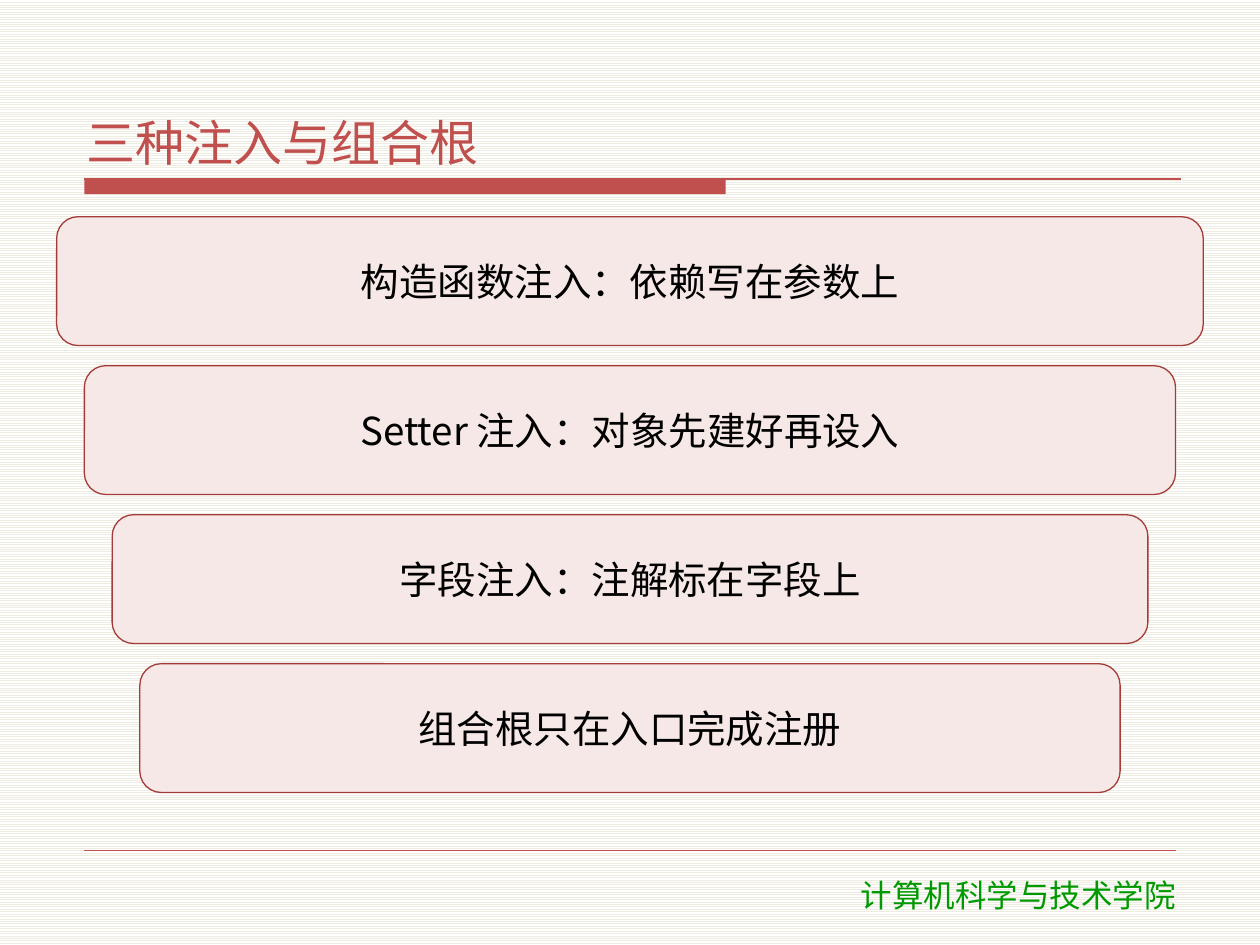
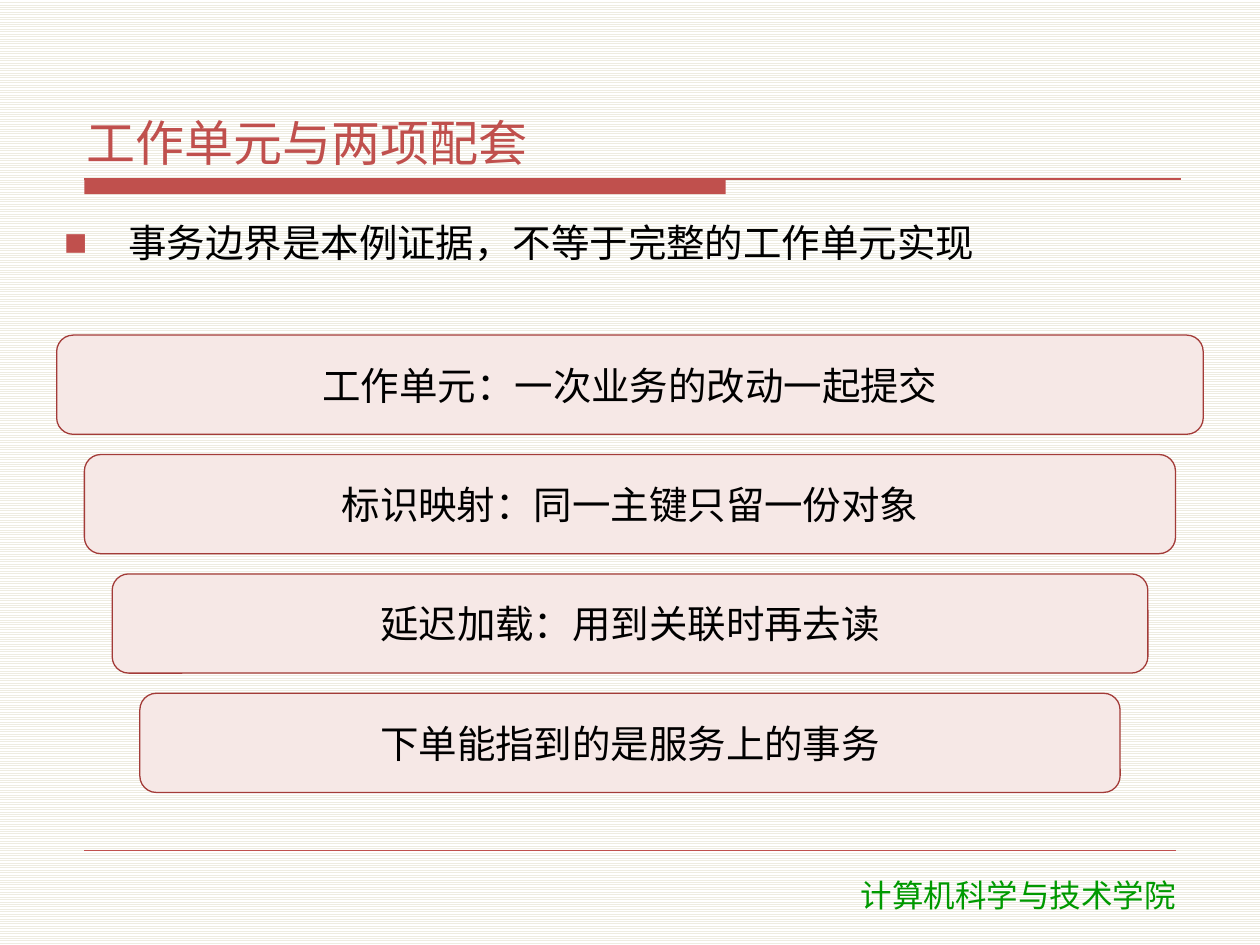
from lxml import etree
from pptx import Presentation
from pptx.dml.color import RGBColor
from pptx.enum.dml import MSO_PATTERN
from pptx.enum.shapes import MSO_CONNECTOR, MSO_SHAPE
from pptx.enum.text import MSO_ANCHOR, MSO_AUTO_SIZE, PP_ALIGN
from pptx.oxml.ns import qn
from pptx.util import Inches, Pt

RED, DARK_RED, PINK = "C0504D", "A33B38", "F6E8E6"
BLACK, GREEN = "000000", "009900"
STRIPE, WHITE = "EEECE1", "FFFFFF"
FONT, FOOTER_FONT = "Noto Sans CJK SC", "DejaVu Sans"
TITLE_ONLY, TITLE_AND_BODY = 5, 1

BAND_LEFT, BAND_TOP, BAND_WIDTH = 0.45, 1.72, 9.1
BAND_BOTTOM = 6.29
BAND_GAP, BAND_STEP_IN = 0.16, 0.22
BODY_HEIGHT, BODY_GAP = 0.86, 0.08


def rgb(value):
    return RGBColor.from_string(value)


def place(sp, left, top, width, height):
    sp.left, sp.top = Inches(left), Inches(top)
    sp.width, sp.height = Inches(width), Inches(height)


def write(sp, text, size, color, align=PP_ALIGN.LEFT, font=FONT):
    """Set one formatted paragraph and return it."""
    sp.text_frame.text = text
    p = sp.text_frame.paragraphs[0]
    p.alignment = align
    p.space_before, p.space_after = Pt(0), Pt(2)
    for r in p.runs:
        r.font.size, r.font.name = Pt(size), font
        r.font.color.rgb = rgb(color)
        etree.SubElement(r.font._element, qn("a:ea"), typeface=font)
    return p


def tighten(tf, anchor):
    tf.word_wrap = True
    tf.auto_size = MSO_AUTO_SIZE.NONE
    tf.vertical_anchor = anchor
    tf.margin_left = tf.margin_right = Inches(0.06)
    tf.margin_top = tf.margin_bottom = Inches(0.02)


def add_rule(slide, left, right, y, weight):
    line = slide.shapes.add_connector(
        MSO_CONNECTOR.STRAIGHT, Inches(left), Inches(y), Inches(right), Inches(y))
    line.line.color.rgb = rgb(RED)
    line.line.width = Pt(weight)
    etree.SubElement(line._element.spPr, qn("a:effectLst"))


def add_box(slide, shape_type, box, fill, outline=None):
    sp = slide.shapes.add_shape(shape_type, *map(Inches, box))
    sp.shadow.inherit = False
    sp.fill.solid()
    sp.fill.fore_color.rgb = rgb(fill)
    if outline:
        sp.line.color.rgb = rgb(outline)
        sp.line.width = Pt(0.75)
    else:
        sp.line.fill.background()
    return sp


def add_title(slide, text):
    title = slide.shapes.title
    place(title, 0.63, 0.33, 8.75, 1.05)
    tighten(title.text_frame, MSO_ANCHOR.BOTTOM)
    write(title, text, 28, RED)
    add_box(slide, MSO_SHAPE.RECTANGLE, (0.67, 1.42, 5.09, 0.12), RED)
    add_rule(slide, 0.67, 9.37, 1.42, 0.75)


def add_footer(slide):
    add_rule(slide, 0.67, 9.33, 6.75, 0.25)
    sp = slide.shapes.add_textbox(Inches(6.07), Inches(6.9), Inches(4.02), Inches(0.4))
    sp.text_frame.word_wrap = True
    write(sp, "计算机科学与技术学院", 18, GREEN, PP_ALIGN.CENTER, FOOTER_FONT)


def add_bullet(body, text, box):
    place(body, *box)
    tighten(body.text_frame, MSO_ANCHOR.TOP)
    pPr = write(body, text, 22, BLACK)._p.get_or_add_pPr()
    pPr.set("marL", str(Inches(0.51)))
    pPr.set("indent", str(-Inches(0.51)))
    color = etree.SubElement(pPr, qn("a:buClr"))
    etree.SubElement(color, qn("a:srgbClr"), val=RED)
    etree.SubElement(pPr, qn("a:buChar"), char="■")


def add_bands(slide, labels, box):
    """Stack equal bands that fill the box, each narrower than the one above."""
    left, top, width, height = box
    band_height = (height - BAND_GAP * (len(labels) - 1)) / len(labels)
    for i, label in enumerate(labels):
        inset = i * BAND_STEP_IN
        band = (left + inset, top + i * (band_height + BAND_GAP),
                width - 2 * inset, band_height)
        sp = add_box(slide, MSO_SHAPE.ROUNDED_RECTANGLE, band, PINK, DARK_RED)
        tighten(sp.text_frame, MSO_ANCHOR.MIDDLE)
        write(sp, label, 22, BLACK, PP_ALIGN.CENTER)


def add_band_slide(prs, title, labels, bullet=None):
    layout = TITLE_AND_BODY if bullet else TITLE_ONLY
    slide = prs.slides.add_slide(prs.slide_layouts[layout])
    add_title(slide, title)
    add_footer(slide)
    top = BAND_TOP
    if bullet:
        add_bullet(slide.placeholders[1], bullet,
                   (BAND_LEFT, top, BAND_WIDTH, BODY_HEIGHT))
        top += BODY_HEIGHT + BODY_GAP
    add_bands(slide, labels, (BAND_LEFT, top, BAND_WIDTH, BAND_BOTTOM - top))


def main():
    prs = Presentation()
    prs.slide_width, prs.slide_height = Inches(10), Inches(7.5)
    fill = prs.slide_master.background.fill
    fill.patterned()
    fill.pattern = MSO_PATTERN.LIGHT_HORIZONTAL
    fill.fore_color.rgb = rgb(STRIPE)
    fill.back_color.rgb = rgb(WHITE)

    add_band_slide(prs, "三种注入与组合根", [
        "构造函数注入：依赖写在参数上",
        "Setter 注入：对象先建好再设入",
        "字段注入：注解标在字段上",
        "组合根只在入口完成注册",
    ])
    add_band_slide(prs, "工作单元与两项配套", [
        "工作单元：一次业务的改动一起提交",
        "标识映射：同一主键只留一份对象",
        "延迟加载：用到关联时再去读",
        "下单能指到的是服务上的事务",
    ], bullet="事务边界是本例证据，不等于完整的工作单元实现")
    prs.save("out.pptx")


if __name__ == "__main__":
    main()
